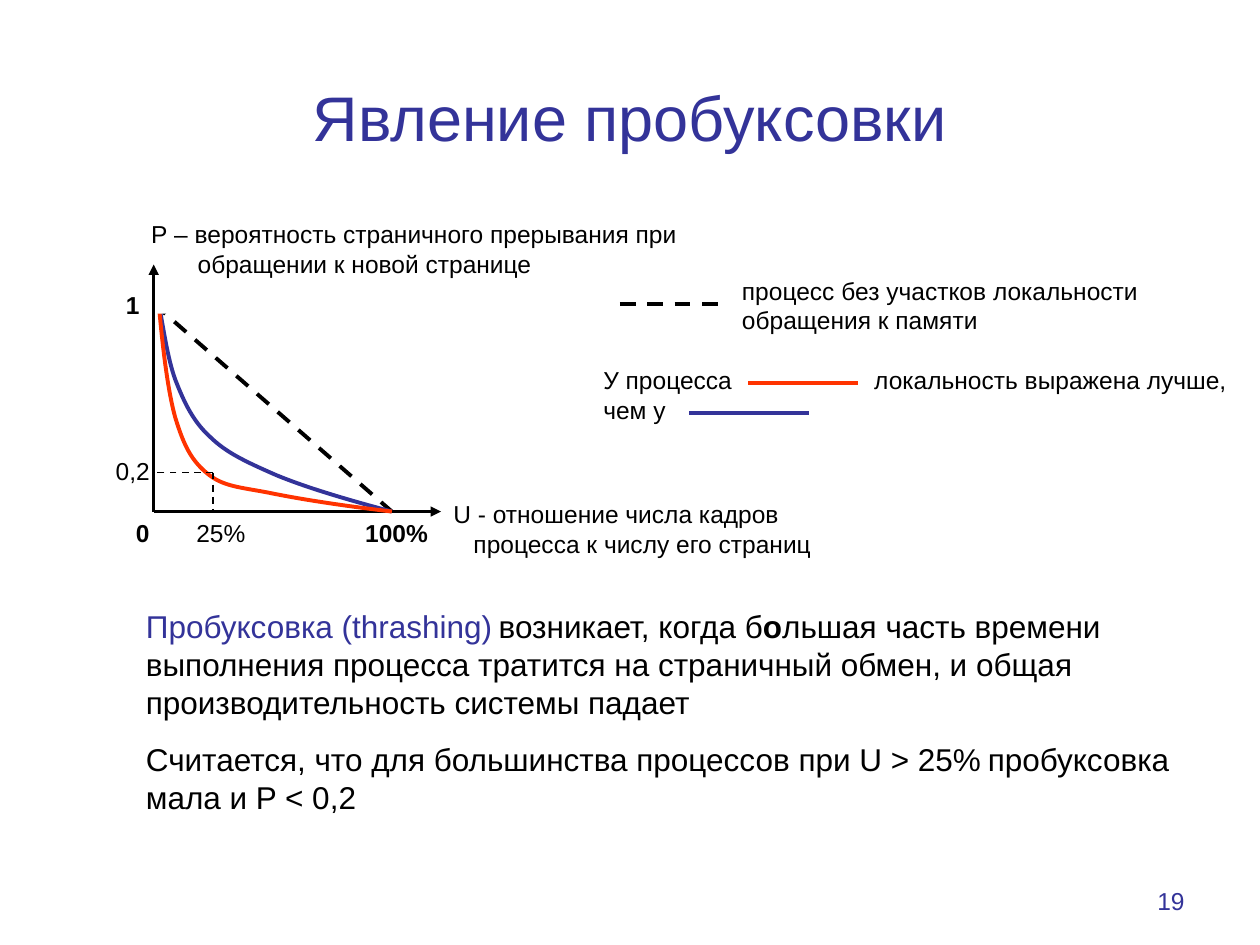
from dataclasses import dataclass

from lxml import etree
from pptx import Presentation
from pptx.dml.color import RGBColor
from pptx.enum.dml import MSO_LINE
from pptx.enum.shapes import MSO_CONNECTOR
from pptx.enum.text import MSO_ANCHOR, PP_ALIGN
from pptx.oxml.ns import qn
from pptx.util import Inches, Pt

STRAIGHT = MSO_CONNECTOR.STRAIGHT
DASH = MSO_LINE.DASH
MIDDLE = MSO_ANCHOR.MIDDLE
CENTER, RIGHT = PP_ALIGN.CENTER, PP_ALIGN.RIGHT


@dataclass(frozen=True)
class Theme:
    font: str = "Arial"
    gap_font: str = "Times New Roman"
    ink: RGBColor = RGBColor(0, 0, 0)
    blue: RGBColor = RGBColor(0x33, 0x33, 0x99)
    red: RGBColor = RGBColor(0xFF, 0x33, 0x00)
    paper: RGBColor = RGBColor(0xFF, 0xFF, 0xFF)
    title: int = 36
    body: int = 18
    label: int = 14
    thin: float = 1
    axis: float = 1.5
    curve: float = 2.25


THEME = Theme()


@dataclass(frozen=True)
class Box:
    left: float
    top: float
    width: float
    height: float

    @property
    def bottom(self):
        return self.top + self.height


def set_font(font, size, color=THEME.ink, bold=False, name=THEME.font):
    font.name, font.size, font.bold = name, Pt(size), bold
    font.color.rgb = color


def add_text(page, box, lines, size=THEME.label, color=THEME.ink, bold=False,
             align=None, wrap=True, inset_top=0.05):
    shape = page.shapes.add_textbox(*map(Inches, (box.left, box.top, box.width, box.height)))
    frame = shape.text_frame
    frame.word_wrap = wrap
    frame.margin_top = Inches(inset_top)
    for index, line in enumerate(lines):
        para = frame.paragraphs[0] if index == 0 else frame.add_paragraph()
        para.text = line
        para.alignment = align
        set_font(para.font, size, color, bold)
    return shape


def set_indents(shape, indents):
    for para, indent in zip(shape.text_frame.paragraphs, indents):
        para._p.get_or_add_pPr().set("marL", str(Inches(indent)))


def add_line(page, start, end, width, color=THEME.ink, dash=None, arrow=False):
    connector = page.shapes.add_connector(STRAIGHT, *map(Inches, (*start, *end)))
    connector.line.color.rgb = color
    connector.line.width = Pt(width)
    if dash:
        connector.line.dash_style = dash
    if arrow:
        etree.SubElement(connector.line._get_or_add_ln(), qn("a:tailEnd"), type="triangle")
    etree.SubElement(connector._element.spPr, qn("a:effectLst"))


def add_curve(page, points, color):
    """Draw a Bezier chain: a start point, then triples of two handles and an end."""
    points = [(Inches(x), Inches(y)) for x, y in points]
    builder = page.shapes.build_freeform(*points[0], scale=1.0)
    builder.add_line_segments(points[1:], close=False)
    shape = builder.convert_to_shape()
    shape.shadow.inherit = False
    shape.fill.background()
    shape.line.color.rgb = color
    shape.line.width = Pt(THEME.curve)
    outline = shape._element.find(".//" + qn("a:path"))
    segments = outline.findall(qn("a:lnTo"))
    for first in range(0, len(segments), 3):
        bezier = etree.SubElement(outline, qn("a:cubicBezTo"))
        for segment in segments[first:first + 3]:
            bezier.append(segment[0])
            outline.remove(segment)


def add_graph(page, box):
    def at(x, y):
        """Place a point given right of and above the origin of the axes."""
        return box.left + x, box.bottom - y

    full = 1.89
    start, end = (0.04, 1.65), (full, 0)
    curves = (
        (THEME.blue, [(0.08, 1.44), (0.11, 1.22), (0.17, 1.05),
                      (0.24, 0.87), (0.31, 0.72), (0.44, 0.60),
                      (0.57, 0.47), (0.72, 0.40), (0.97, 0.29),
                      (1.21, 0.19), (1.55, 0.09)]),
        (THEME.red, [(0.07, 1.31), (0.11, 0.97), (0.17, 0.75),
                     (0.24, 0.52), (0.30, 0.40), (0.44, 0.29),
                     (0.57, 0.19), (0.72, 0.19), (0.96, 0.14),
                     (1.21, 0.09), (1.55, 0.04)]),
    )

    # Horizontal axis and the three dependences
    add_line(page, at(0, 0), at(box.width, 0), THEME.axis, arrow=True)
    add_line(page, at(0, 1.65), at(*end), THEME.curve, dash=DASH)
    for color, middle in curves:
        add_curve(page, [at(*point) for point in (start, *middle, end)], color)

    # Vertical axis over its white caption, whose first line needs the full width
    caption = add_text(page, Box(*at(-0.24, 2.37), 4.49, 0.8),
                       ["Р – вероятность страничного прерывания при",
                        "обращении к новой странице"])
    caption.text_frame.margin_right = 0
    caption.fill.solid()
    caption.fill.fore_color.rgb = THEME.paper
    set_indents(caption, (0.12, 0.49))
    add_line(page, at(0, 0), at(0, box.height), THEME.axis, arrow=True)

    # Horizontal axis caption
    caption = add_text(page, Box(*at(box.width, 0.05), 5.36, 0.46),
                       ["U - отношение числа кадров", "процесса к числу его страниц"])
    set_indents(caption, (0, 0.16))
    for para in caption.text_frame.paragraphs:
        para.line_spacing = 0.5
    caption.text_frame.paragraphs[1].space_before = Pt(8.8)

    # Guides to the threshold point
    threshold = (0.47, 0.31)
    for foot in ((threshold[0], 0), (0, threshold[1])):
        add_line(page, at(*threshold), at(*foot), THEME.thin, dash=DASH)

    # Scale marks
    for text, x, y, width, bold in (("1", -0.32, 1.81, 0.31, True),
                                    ("0", -0.24, 0, 0.31, True),
                                    ("100%", 1.58, 0, 0.71, True),
                                    ("25%", 0.24, 0, 0.63, False),
                                    ("0,2", -0.4, 0.49, 0.55, False)):
        add_text(page, Box(*at(x, y), width, 0.34), [text], bold=bold, wrap=False)


def add_legend(page, box):
    # Text with a tab that leaves room for the red sample
    add_text(page, Box(box.left + 1.1, box.top, 4.02, 0.69),
             ["процесс без участков локальности обращения к памяти"], inset_top=0.17)
    note = Box(box.left, box.top + 0.71, box.width, 0.69)
    shape = add_text(page, note, [""], inset_top=0.17)
    para = shape.text_frame.paragraphs[0]
    para.text = "У процесса\tлокальность выражена лучше, чем у"
    properties = para._p.get_or_add_pPr()
    tabs = etree.Element(qn("a:tabLst"))
    etree.SubElement(tabs, qn("a:tab"), pos=str(Inches(2.15)), algn="l")
    properties.insert(0, tabs)

    # Line samples
    for x, y, width, color, dash in ((0.23, 0.39, 0.87, THEME.ink, DASH),
                                     (1.25, 1.02, 0.87, THEME.red, None),
                                     (0.78, 1.26, 0.95, THEME.blue, None)):
        left, top = box.left + x, box.top + y
        add_line(page, (left, top), (left + width, top), THEME.curve, color, dash)


def add_conclusions(page, box):
    gap = (" ", THEME.label, THEME.ink, False, THEME.gap_font)
    paragraphs = (
        (("Пробуксовка (thrashing)", THEME.body, THEME.blue), gap,
         ("возникает, когда б", THEME.body),
         ("о", THEME.body, THEME.ink, True),
         ("льшая часть времени выполнения процесса тратится на страничный обмен, "
          "и общая производительность системы падает", THEME.body)),
        (("Считается, что для большинства процессов при U > 25%", THEME.body), gap,
         ("пробуксовка мала и P < 0,2", THEME.body)),
    )
    frame = add_text(page, box, [""] * len(paragraphs), THEME.body).text_frame
    for para, spans in zip(frame.paragraphs, paragraphs):
        for text, *style in spans:
            span = para.add_run()
            span.text = text
            set_font(span.font, *style)
    frame.paragraphs[1].space_before = Pt(11.2)


def main():
    deck = Presentation()
    deck.slide_width, deck.slide_height = Inches(10), Inches(7.5)
    page = deck.slides.add_slide(deck.slide_layouts[6])

    title = add_text(page, Box(0.5, 0.3, 9, 1.25), ["Явление пробуксовки"],
                     THEME.title, THEME.blue, align=CENTER)
    title.text_frame.vertical_anchor = MIDDLE
    add_graph(page, Box(1.22, 2.1, 2.28, 1.96))
    add_legend(page, Box(4.69, 2.02, 5.43, 1.4))
    add_conclusions(page, Box(1.06, 4.77, 8.43, 1.76))
    add_text(page, Box(7.17, 6.98, 2.33, 0.52), ["19"], color=THEME.blue, align=RIGHT)

    deck.save("out.pptx")


if __name__ == "__main__":
    main()
